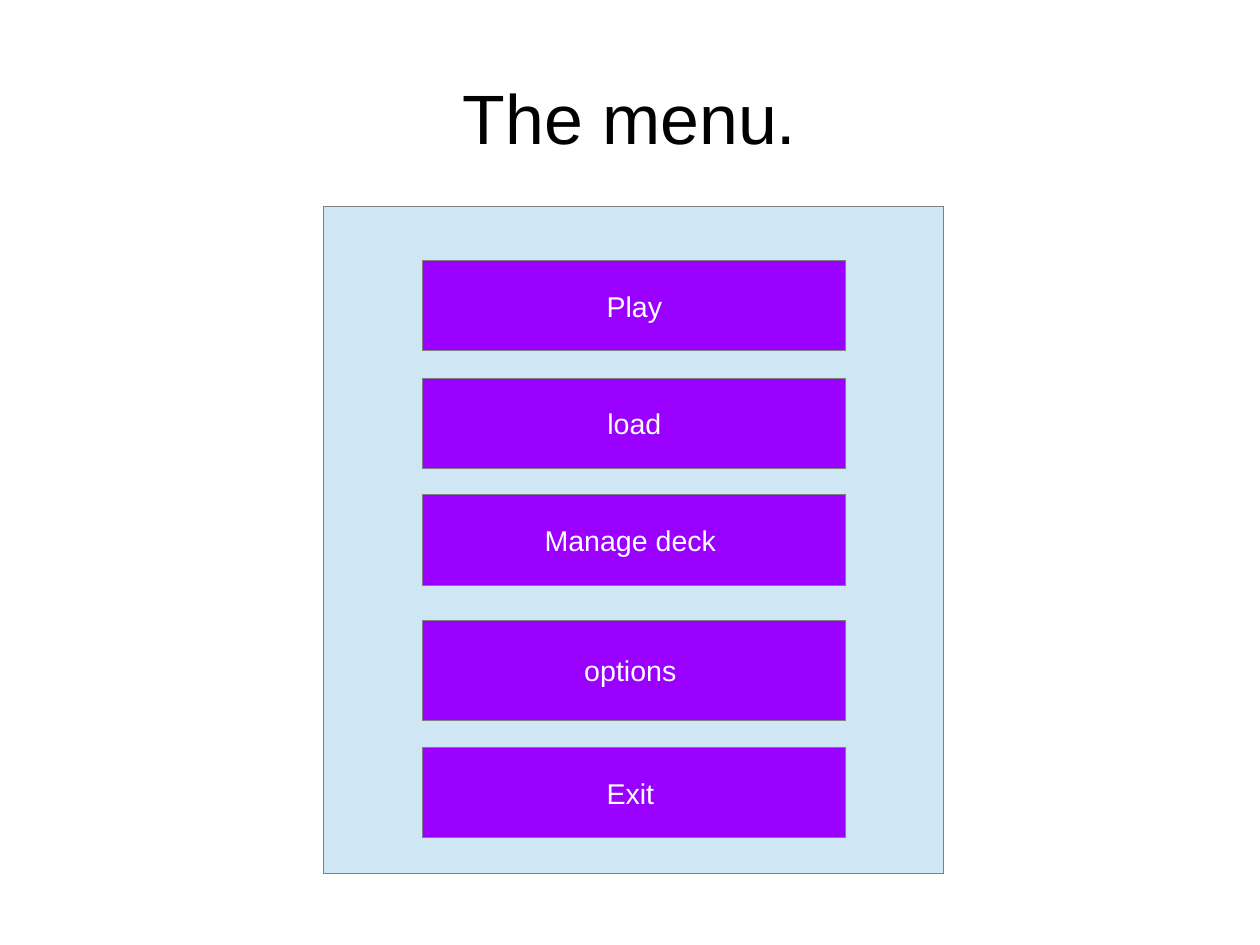
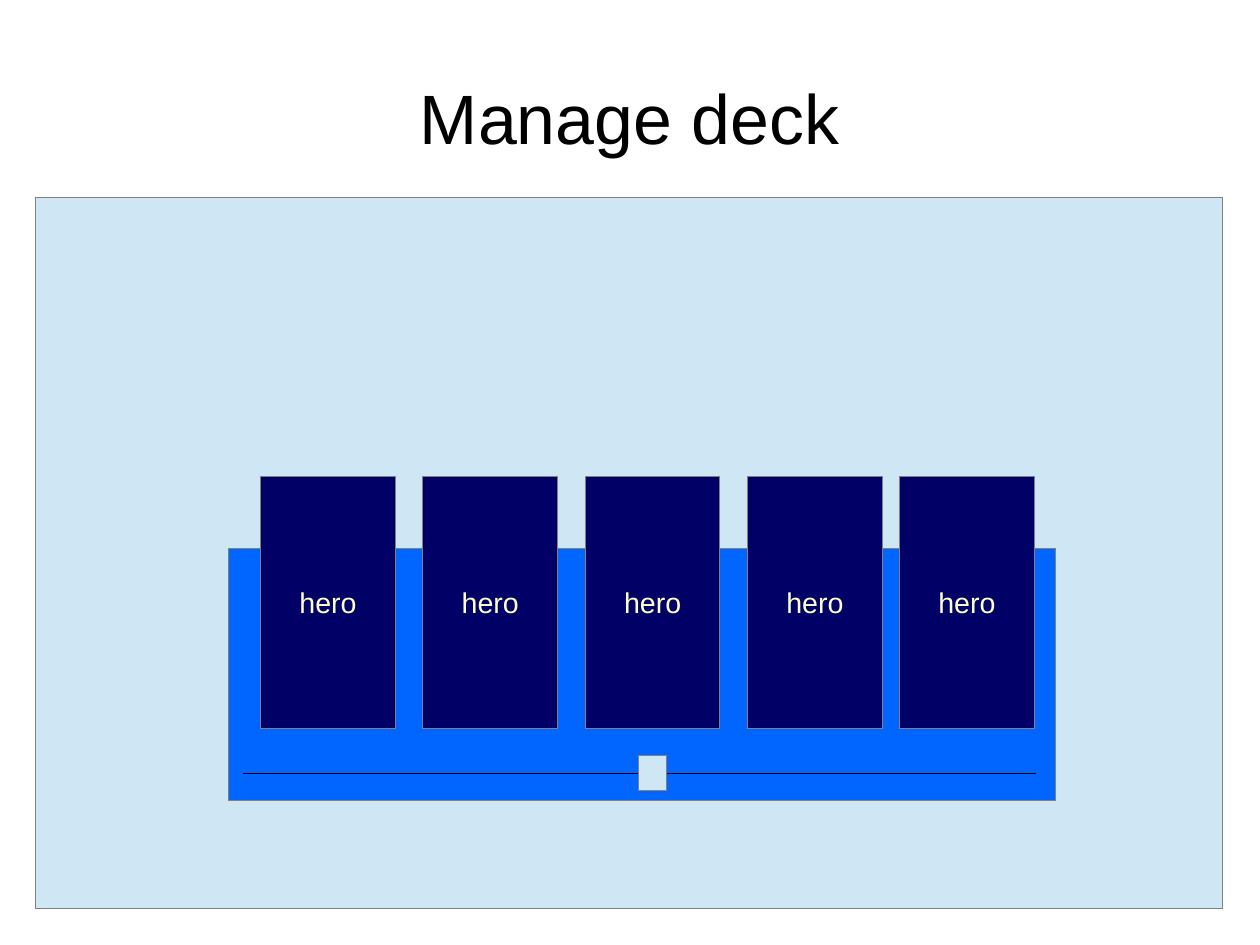
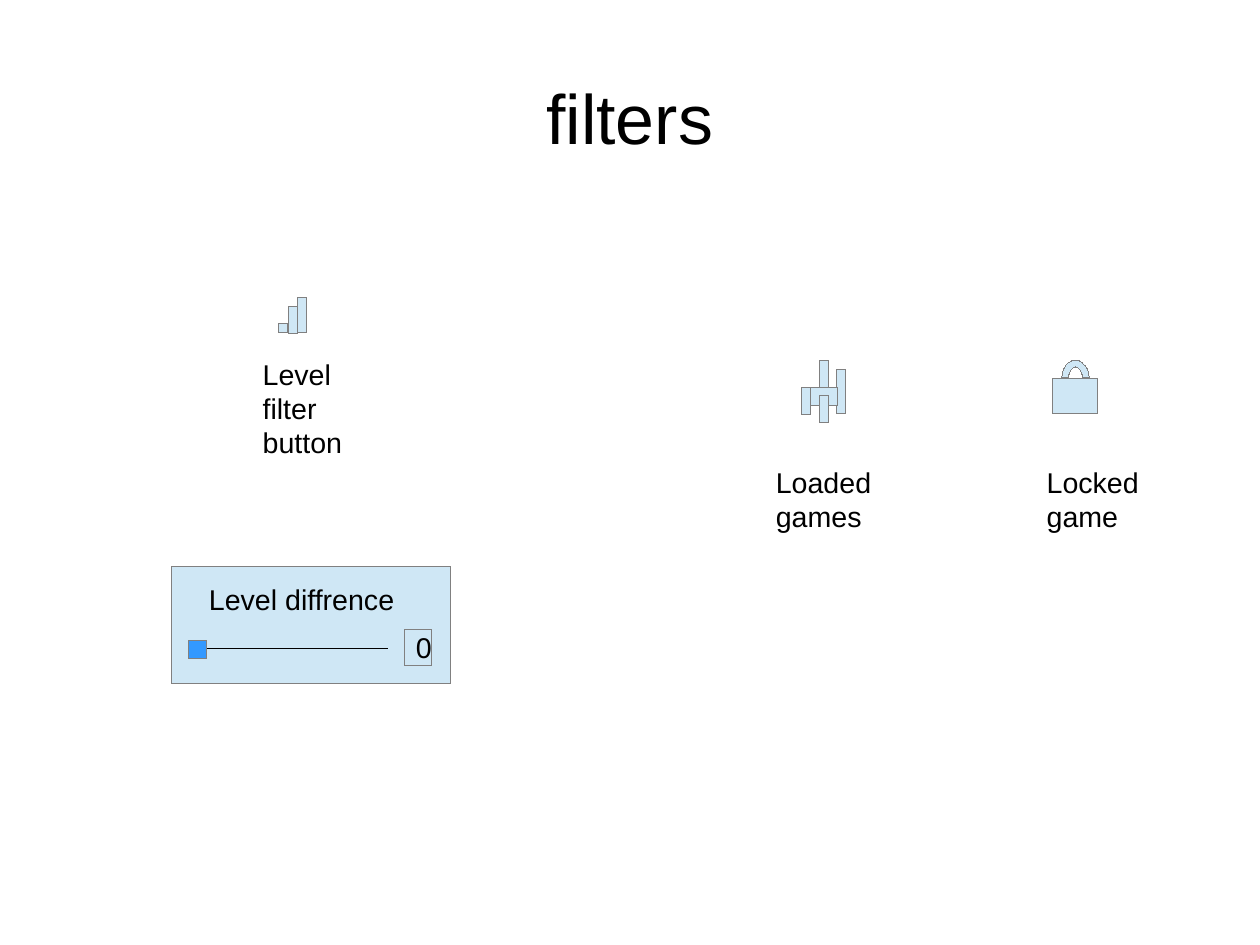
from dataclasses import dataclass

from lxml import etree
from pptx import Presentation
from pptx.dml.color import RGBColor
from pptx.enum.shapes import MSO_CONNECTOR, MSO_SHAPE
from pptx.enum.text import MSO_ANCHOR, PP_ALIGN
from pptx.oxml.ns import qn
from pptx.util import Inches, Pt

RECT, ARC = MSO_SHAPE.RECTANGLE, MSO_SHAPE.BLOCK_ARC
STRAIGHT = MSO_CONNECTOR.STRAIGHT
LEFT, CENTER = PP_ALIGN.LEFT, PP_ALIGN.CENTER
TOP, MIDDLE = MSO_ANCHOR.TOP, MSO_ANCHOR.MIDDLE


@dataclass(frozen=True)
class Theme:
    font: str = "Arial"
    title_size: int = 44
    body_size: int = 18
    ink: str = "000000"
    outline: str = "808080"
    panel: str = "CFE7F5"
    button: str = "9900FF"
    button_text: str = "FFFFFF"
    tray: str = "0066FF"
    card: str = "000066"
    card_text: str = "FFFFCC"
    handle: str = "3399FF"
    hairline: float = 0.01


theme = Theme()


def write(shape, text, size, color, align, anchor):
    frame = shape.text_frame
    frame.word_wrap = True
    frame.vertical_anchor = anchor
    paragraph = frame.paragraphs[0]
    paragraph.alignment = align
    run = paragraph.add_run()
    run.text = text
    run.font.name = theme.font
    run.font.size = Pt(size)
    run.font.color.rgb = RGBColor.from_string(color)
    return frame


def add_box(slide, bounds, fill=theme.panel, text="", color=theme.ink, kind=RECT):
    box = slide.shapes.add_shape(kind, *map(Inches, bounds))
    box.shadow.inherit = False
    box.fill.solid()
    box.fill.fore_color.rgb = RGBColor.from_string(fill)
    box.line.color.rgb = RGBColor.from_string(theme.outline)
    box.line.width = Pt(theme.hairline)
    if text:
        write(box, text, theme.body_size, color, CENTER, MIDDLE)


deck = Presentation()
deck.slide_width, deck.slide_height = Pt(793.75), Pt(595.25)

pages = []
for heading in ("The menu.", "Manage deck", "filters"):
    page = deck.slides.add_slide(deck.slide_layouts[6])
    title = page.shapes.add_textbox(*map(Inches, (0.55, 0.33, 9.92, 1.38)))
    frame = write(title, heading, theme.title_size, theme.ink, CENTER, MIDDLE)
    for side in ("left", "top", "right", "bottom"):
        setattr(frame, f"margin_{side}", 0)
    pages.append(page)
menu, manage, filters = pages

add_box(menu, (2.83, 1.81, 5.43, 5.83))
for caption, top, height in (
    ("Play", 2.28, 0.79),
    ("load", 3.31, 0.79),
    ("Manage deck ", 4.33, 0.79),
    ("options ", 5.43, 0.87),
    ("Exit ", 6.54, 0.79),
):
    add_box(menu, (3.7, top, 3.7, height), theme.button, caption, theme.button_text)

add_box(manage, (0.31, 1.73, 10.39, 6.22))
add_box(manage, (2, 4.8, 7.24, 2.2), theme.tray)
for left in (2.28, 3.7, 5.12, 6.54, 7.87):
    add_box(manage, (left, 4.17, 1.18, 2.2), theme.card, "hero", theme.card_text)

level_bars = [(2.44, 2.83, 0.08, 0.08), (2.52, 2.68, 0.08, 0.24), (2.6, 2.6, 0.08, 0.31)]
loaded_icon = [
    (7.32, 3.23, 0.08, 0.39),
    (7.01, 3.39, 0.08, 0.24),
    (7.09, 3.39, 0.24, 0.16),
    (7.17, 3.46, 0.08, 0.24),
    (7.17, 3.15, 0.08, 0.24),
]
lock_body = (9.21, 3.31, 0.39, 0.31)
level_panel = (1.5, 4.96, 2.44, 1.02)
for part in (*level_bars, *loaded_icon, lock_body, level_panel):
    add_box(filters, part)
add_box(filters, (9.29, 3.15, 0.24, 0.31), kind=ARC)
add_box(filters, (3.54, 5.51, 0.24, 0.31), text="0")

for label, bounds in (
    ("Level diffrence", (1.73, 5.04, 1.97, 0.38)),
    ("Level filter button", (2.2, 3.07, 1.26, 0.94)),
    ("Loaded games", (6.69, 4.02, 1.1, 0.66)),
    ("Locked game", (9.06, 4.02, 1.1, 0.66)),
):
    caption_box = filters.shapes.add_textbox(*map(Inches, bounds))
    write(caption_box, label, theme.body_size, theme.ink, LEFT, TOP)

for page, start, end, level, handle, color in (
    (manage, 2.13, 9.06, 6.77, (5.59, 6.61, 0.24, 0.31), theme.panel),
    (filters, 1.73, 3.39, 5.67, (1.65, 5.6, 0.16, 0.16), theme.handle),
):
    rail = page.shapes.add_connector(STRAIGHT, *map(Inches, (start, level, end, level)))
    rail.line.color.rgb = RGBColor.from_string(theme.ink)
    rail.line.width = Pt(theme.hairline)
    etree.SubElement(rail.element.spPr, qn("a:effectLst"))
    add_box(page, handle, color)

deck.save("out.pptx")
